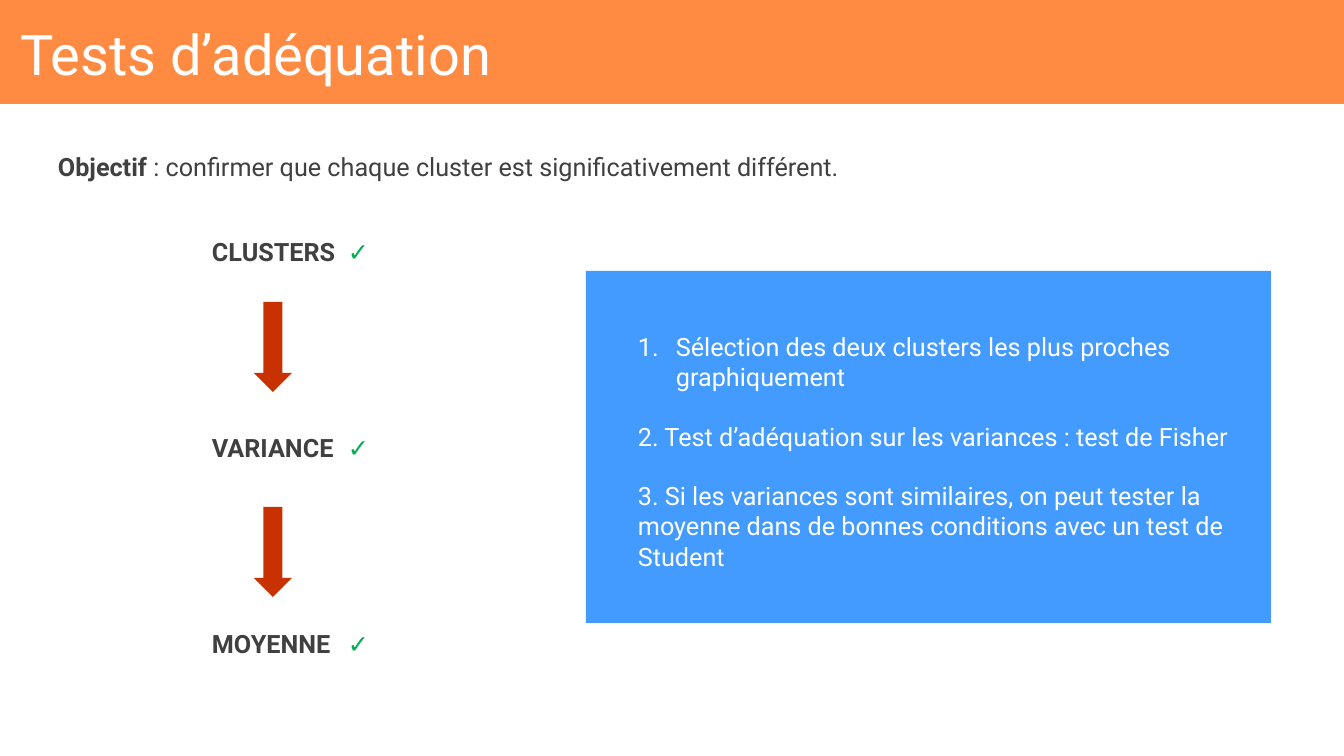
from lxml.etree import SubElement
from pptx import Presentation
from pptx.dml.color import RGBColor
from pptx.enum.shapes import MSO_SHAPE
from pptx.enum.text import MSO_ANCHOR, MSO_AUTO_SIZE, PP_ALIGN
from pptx.oxml.ns import qn
from pptx.util import Pt

PX = 12192000 / 1344
ORANGE = RGBColor(0xFF, 0x8B, 0x43)
BLUE = RGBColor(0x43, 0x9B, 0xFF)
RED = RGBColor(0xC8, 0x32, 0x00)
GREEN = RGBColor(0x00, 0xB0, 0x50)
DARK = RGBColor(0x40, 0x40, 0x40)
WHITE = RGBColor(0xFF, 0xFF, 0xFF)


def px(n):
    return round(n * PX)


class SlideBuilder:
    """Holds the text style and the current slide, and adds elements to it."""

    def __init__(self, prs):
        self.style = {"name": "Roboto", "size": Pt(18), "bold": False}
        self.s = prs.slides.add_slide(prs.slide_layouts[5])

    def run(self, p, text, color, **changes):
        r = p.add_run()
        r.text = text
        for key, value in {**self.style, **changes}.items():
            setattr(r.font, key, value)
        r.font.color.rgb = color

    def shape(self, kind, *box, fill):
        sp = self.s.shapes.add_shape(kind, *map(px, box))
        sp.shadow.inherit = False
        sp.fill.solid()
        sp.fill.fore_color.rgb = fill
        sp.line.fill.background()

    def title(self, text, *box):
        sp = self.s.shapes.title
        self.s.shapes._spTree.append(sp._element)
        for key, value in zip(("left", "top", "width", "height"), box):
            setattr(sp, key, px(value))
        tf = sp.text_frame
        frame = {"margin_left": px(20), "margin_top": px(20),
                 "margin_right": px(10), "margin_bottom": px(5),
                 "vertical_anchor": MSO_ANCHOR.TOP,
                 "auto_size": MSO_AUTO_SIZE.NONE, "word_wrap": True}
        for key, value in frame.items():
            setattr(tf, key, value)
        p = tf.paragraphs[0]
        p.alignment = PP_ALIGN.LEFT
        self.run(p, text, WHITE, size=Pt(40))

    def text(self, *box):
        tf = self.s.shapes.add_textbox(*map(px, box)).text_frame
        tf.word_wrap = True
        return tf

    def objective(self, label, text, *box):
        p = self.text(*box).paragraphs[0]
        self.run(p, label, DARK, bold=True)
        self.run(p, text, DARK)

    def checked(self, label, *box):
        p = self.text(*box).paragraphs[0]
        tabs = SubElement(p._p.get_or_add_pPr(), qn("a:tabLst"))
        SubElement(tabs, qn("a:tab"), pos=str(px(136)), algn="l")
        self.run(p, label + "\t", DARK, bold=True)
        self.run(p, "✓", GREEN, bold=True)

    def steps(self, numbered, others, *box):
        tf = self.text(*box)
        p = tf.paragraphs[0]
        pPr = p._p.get_or_add_pPr()
        pPr.set("marL", str(px(38)))
        pPr.set("indent", str(-px(38)))
        SubElement(pPr, qn("a:buFont"), typeface="+mj-lt")
        SubElement(pPr, qn("a:buAutoNum"), type="arabicPeriod")
        self.run(p, numbered, WHITE)
        for text in others:
            p = tf.add_paragraph()
            p.space_before = Pt(21)
            self.run(p, text, WHITE)


def main():
    prs = Presentation()
    prs.slide_width, prs.slide_height = px(1344), px(756)
    b = SlideBuilder(prs)

    b.shape(MSO_SHAPE.RECTANGLE, 586, 271, 685, 352, fill=BLUE)
    b.objective("Objectif",
                " : confirmer que chaque cluster est significativement différent.",
                48, 146, 1252, 40)
    b.steps("Sélection des deux clusters les plus proches graphiquement",
            ["2. Test d’adéquation sur les variances : test de Fisher",
             "3. Si les variances sont similaires, on peut tester la moyenne "
             "dans de bonnes conditions avec un test de Student"],
            628, 326, 672, 285)
    for i, label in enumerate(("CLUSTERS", "VARIANCE", "MOYENNE")):
        b.checked(label, 202, 231 + 196 * i, 286, 40)
    for i in range(2):
        b.shape(MSO_SHAPE.DOWN_ARROW, 254, 302 + 205 * i, 38, 90, fill=RED)
    b.shape(MSO_SHAPE.RECTANGLE, 0, 0, 1344, 104, fill=ORANGE)
    b.title("Tests d’adéquation", 0, 0, 860, 93)

    prs.save("out.pptx")


if __name__ == "__main__":
    main()
